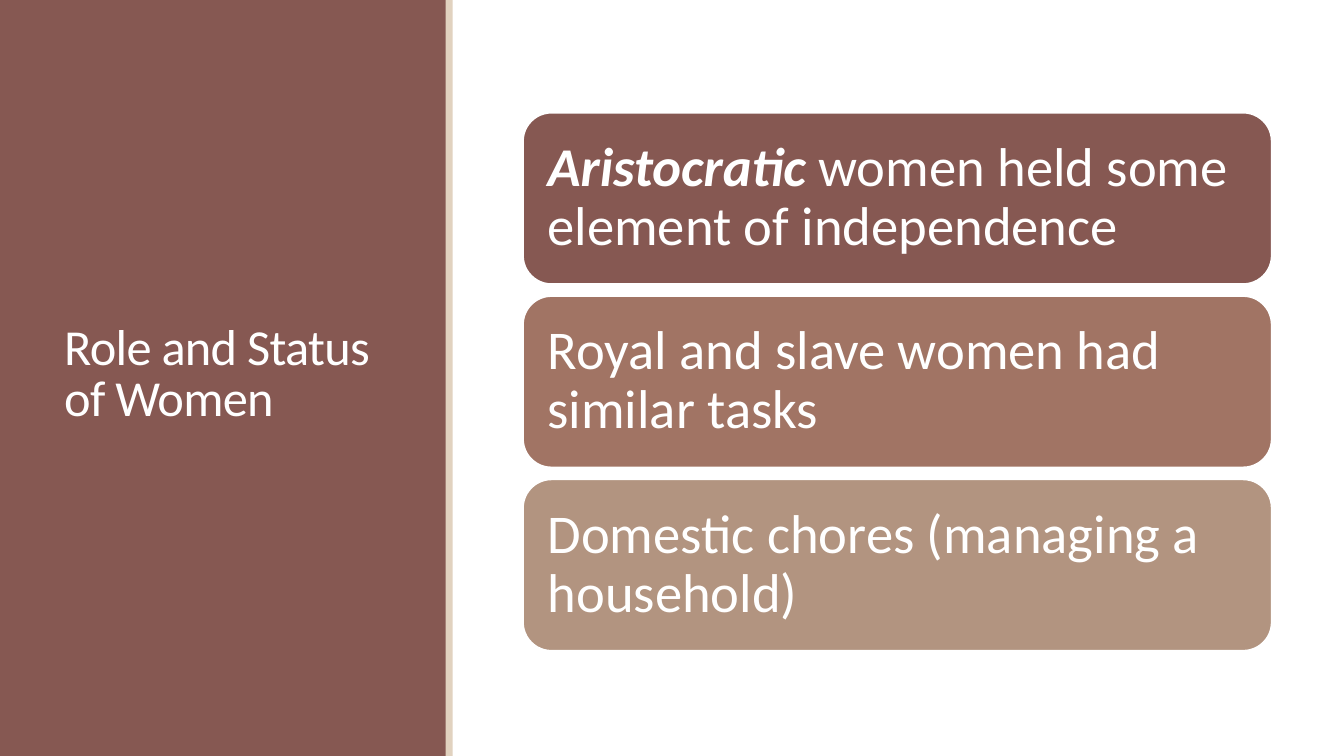
import pptx
import pptx.dml.color
import pptx.enum.shapes
import pptx.enum.text
import pptx.util

Cm = pptx.util.Cm
Pt = pptx.util.Pt
KIND = pptx.enum.shapes.MSO_SHAPE
ALIGN = pptx.enum.text.PP_ALIGN.LEFT
MIDDLE = pptx.enum.text.MSO_ANCHOR.MIDDLE

HUES = {
    "white": "FFFFFF",
    "wine": "865852",
    "clay": "A17464",
    "tan": "B29480",
    "sand": "E1D2BF",
}

CARDS = [
    ("wine", [("Aristocratic", {"bold": True, "italic": True}),
              (" women held some element of independence", {})]),
    ("clay", [("Royal and slave women had similar tasks", {})]),
    ("tan", [("Domestic chores (managing a household)", {})]),
]


def hue(name):
    return pptx.dml.color.RGBColor.from_string(HUES[name])


def apply(target, form):
    for name, value in form.items():
        setattr(target, name, value)


def add_block(slide, kind, box, fill):
    block = slide.shapes.add_shape(kind, *map(Cm, box))
    block.shadow.inherit = False
    block.fill.solid()
    block.fill.fore_color.rgb = hue(fill)
    block.line.fill.background()
    return block


def add_text(frame, parts, size, layout):
    apply(frame, {"word_wrap": True, "vertical_anchor": MIDDLE})
    para = frame.paragraphs[0]
    apply(para, {"alignment": ALIGN} | layout)
    for words, style in parts:
        run = para.add_run()
        run.text = words
        apply(run.font, {"name": "Calibri", "size": Pt(size)} | style)
        run.font.color.rgb = hue("white")
    return para


def add_title(slide, words):
    box = slide.shapes.add_textbox(Cm(1.37), Cm(1.45), Cm(8.56), Cm(16.03))
    para = add_text(box.text_frame, [(words, {})], 36, {"line_spacing": 0.85})
    para.runs[0].font._element.set("spc", "-50")


def add_card(slide, top, fill, parts):
    card = add_block(slide, KIND.ROUNDED_RECTANGLE, (13.18, top, 18.87, 4.32), fill)
    card.line.color.rgb = hue("white")
    card.line.width = Pt(1.25)
    sides = ("left", "top", "right", "bottom")
    apply(card.text_frame, {f"margin_{side}": Cm(0.41) for side in sides})
    add_text(card.text_frame, parts, 39, {"line_spacing": 0.9, "space_after": Pt(13.65)})


def main():
    deck = pptx.Presentation()
    apply(deck, {"slide_width": Cm(33.87), "slide_height": Cm(19.05)})
    slide = deck.slides.add_slide(deck.slide_layouts[6])
    add_block(slide, KIND.RECTANGLE, (0, 0, 11.25, 19.05), "wine")
    add_title(slide, "Role and Status of Women")
    add_block(slide, KIND.RECTANGLE, (11.23, 0, 0.18, 19.05), "sand")
    for index, (fill, parts) in enumerate(CARDS):
        add_card(slide, 2.84 + index * 4.62, fill, parts)
    deck.save("out.pptx")


if __name__ == "__main__":
    main()
